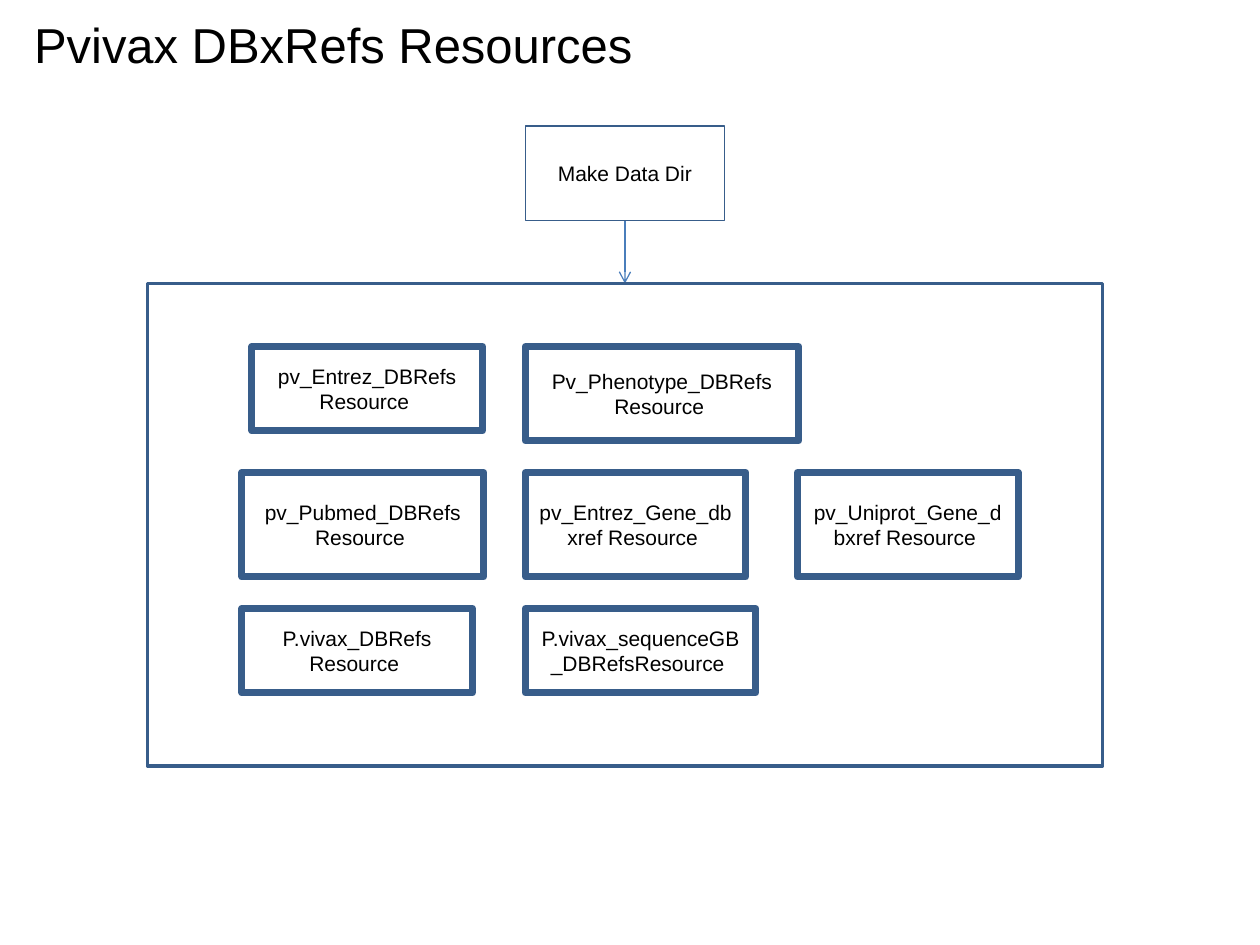
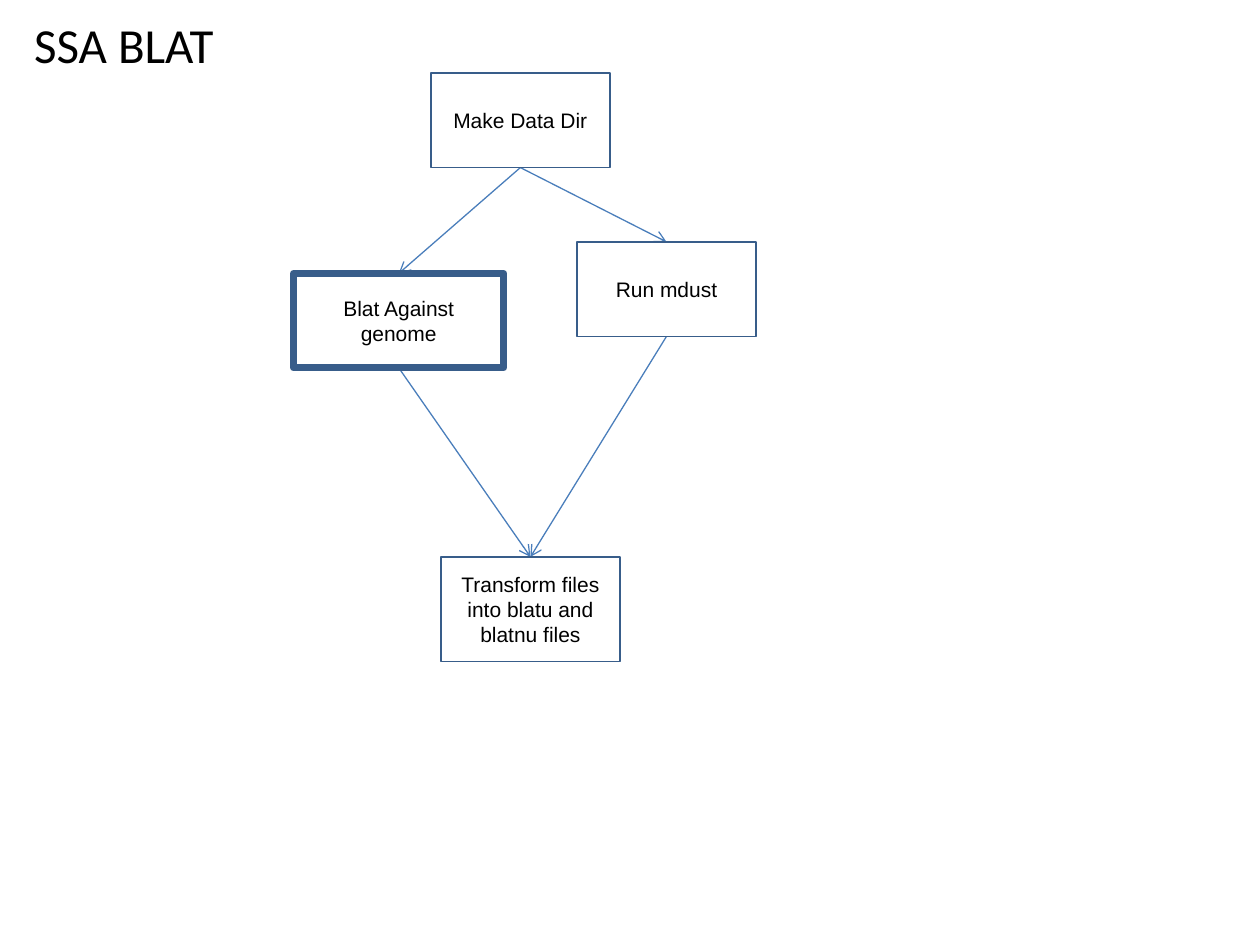
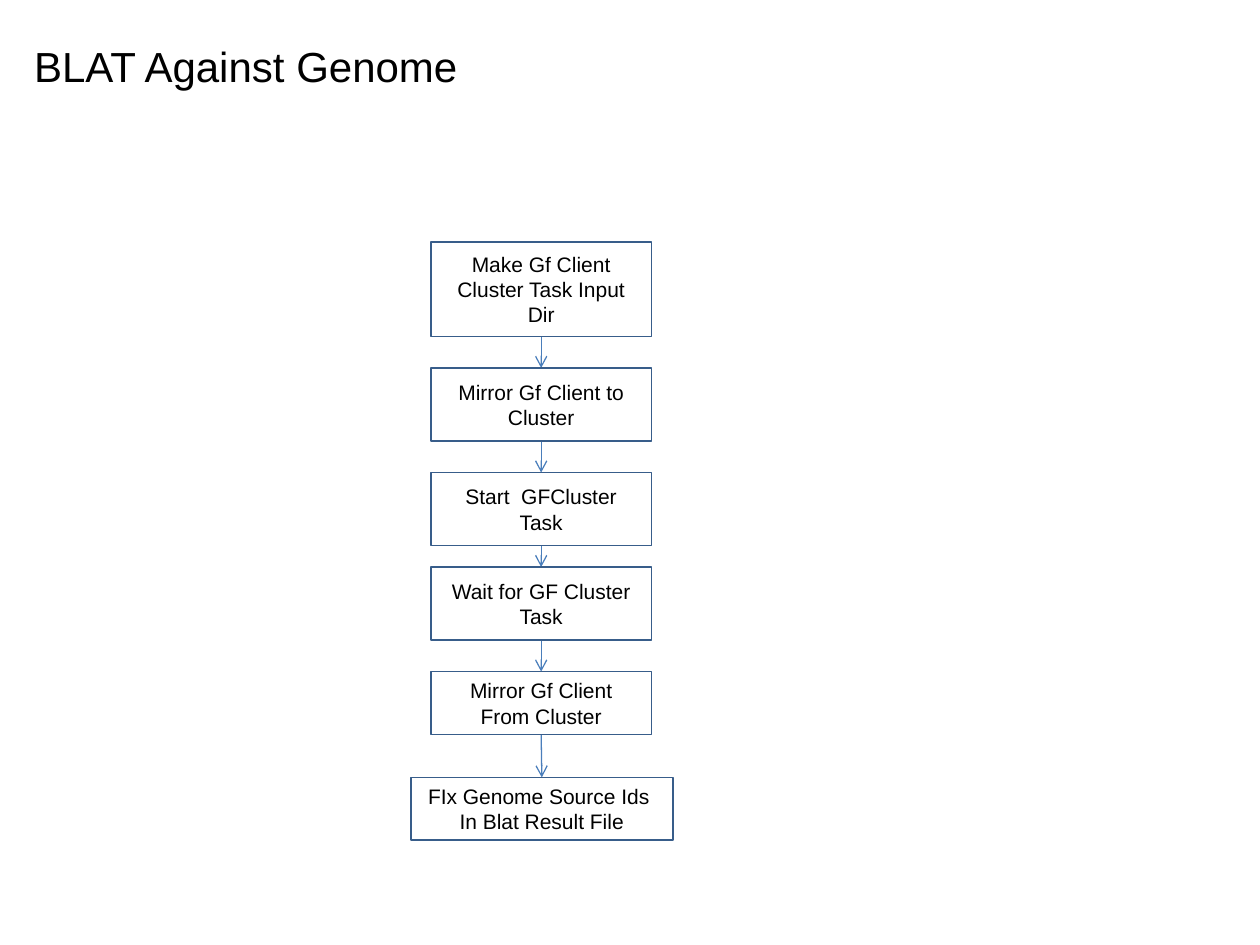
from dataclasses import dataclass

import pptx
import pptx.dml.color
import pptx.enum.shapes
import pptx.enum.text
import pptx.oxml.ns
import pptx.util
from lxml import etree
from pptx.util import Inches

# Shared look
COLORS = {"text": "000000", "outline": "385D8A", "arrow": "4A7EBB"}
FONT = "Arial"
THIN, FRAME, THICK = 1, 2, 4  # outline widths in points
ARROW_WIDTH = 0.75
TITLE_ONLY_LAYOUT = 5
TOP, BOTTOM = 0, 2  # connection sites


@dataclass(frozen=True)
class Heading:
    text: str
    top: float
    width: float
    height: float
    size: int = 28
    font: str = FONT


@dataclass(frozen=True)
class Step:
    text: str
    left: float
    top: float
    width: float
    height: float
    outline: int = THIN


def rgb(role: str) -> pptx.dml.color.RGBColor:
    return pptx.dml.color.RGBColor.from_string(COLORS[role])


def format_text(frame, size: int, font: str, alignment) -> None:
    frame.word_wrap = True
    frame.vertical_anchor = pptx.enum.text.MSO_ANCHOR.MIDDLE
    for paragraph in frame.paragraphs:
        paragraph.alignment = alignment
        for run in paragraph.runs:
            run.font.size = pptx.util.Pt(size)
            run.font.name = font
            run.font.color.rgb = rgb("text")


def add_slide(deck, heading: Heading):
    slide = deck.slides.add_slide(deck.slide_layouts[TITLE_ONLY_LAYOUT])
    title = slide.shapes.title
    title.left, title.top = Inches(0.17), Inches(heading.top)
    title.width, title.height = Inches(heading.width), Inches(heading.height)
    title.text_frame.text = heading.text
    title.text_frame.auto_size = pptx.enum.text.MSO_AUTO_SIZE.NONE
    format_text(title.text_frame, heading.size, heading.font,
                pptx.enum.text.PP_ALIGN.LEFT)
    return slide


def add_step(slide, step: Step):
    box = slide.shapes.add_shape(
        pptx.enum.shapes.MSO_SHAPE.RECTANGLE, Inches(step.left),
        Inches(step.top), Inches(step.width), Inches(step.height))
    box.shadow.inherit = False
    box.fill.background()
    box.line.color.rgb = rgb("outline")
    box.line.width = pptx.util.Pt(step.outline)
    if step.text:
        box.text_frame.text = step.text
        format_text(box.text_frame, 12, FONT,
                    pptx.enum.text.PP_ALIGN.CENTER)
    return box


def add_arrow(slide, source, target) -> None:
    """Lead from the bottom of one box to the top of another, behind both."""
    arrow = slide.shapes.add_connector(
        pptx.enum.shapes.MSO_CONNECTOR.STRAIGHT, 0, 0, 0, 0)
    arrow.begin_connect(source, BOTTOM)
    arrow.end_connect(target, TOP)
    arrow.line.color.rgb = rgb("arrow")
    arrow.line.width = pptx.util.Pt(ARROW_WIDTH)
    qn = pptx.oxml.ns.qn
    etree.SubElement(arrow.line._get_or_add_ln(), qn("a:tailEnd"), type="arrow")
    etree.SubElement(arrow._element.spPr, qn("a:effectLst"))
    slide.shapes.title._element.addnext(arrow._element)


def build_resources(deck) -> None:
    slide = add_slide(deck, Heading("Pvivax DBxRefs Resources", 0.08, 6.42, 0.53))
    left, middle, right = 1.92, 4.17, 6.33
    upper, center, lower = 2.75, 3.75, 4.83
    resources = [
        Step("pv_Pubmed_DBRefs Resource ", left, center, 1.92, 0.83, THICK),
        Step("pv_Entrez_Gene_dbxref Resource ", middle, center, 1.75, 0.83, THICK),
        Step("pv_Uniprot_Gene_dbxref Resource ", right, center, 1.75, 0.83, THICK),
        Step("pv_Entrez_DBRefs\nResource ", 2, upper, 1.83, 0.67, THICK),
        Step("Pv_Phenotype_DBRefs\nResource ", middle, upper, 2.17, 0.75, THICK),
        Step("P.vivax_DBRefs Resource ", left, lower, 1.83, 0.67, THICK),
        Step("P.vivax_sequenceGB_DBRefsResource ", middle, lower, 1.83, 0.67, THICK),
    ]
    for resource in resources:
        add_step(slide, resource)
    resource_group = add_step(slide, Step("", 1.17, 2.25, 7.58, 3.83, FRAME))
    make_dir = add_step(slide, Step("Make Data Dir", middle, 1, 1.58, 0.75))
    add_arrow(slide, make_dir, resource_group)


def build_ssa_blat(deck) -> None:
    slide = add_slide(
        deck, Heading("SSA BLAT", 0.08, 5.58, 0.53, font="Calibri"))
    mdust = add_step(slide, Step("Run mdust", 4.58, 1.92, 1.42, 0.75))
    transform = add_step(slide, Step(
        "Transform files into blatu and blatnu files", 3.5, 4.42, 1.42, 0.83))
    make_dir = add_step(slide, Step("Make Data Dir", 3.42, 0.58, 1.42, 0.75))
    blat = add_step(slide, Step(
        "Blat Against genome", 2.33, 2.17, 1.67, 0.75, THICK))
    for task in (blat, mdust):
        add_arrow(slide, make_dir, task)
        add_arrow(slide, task, transform)


def build_blat_genome(deck) -> None:
    slide = add_slide(deck, Heading("BLAT Against Genome", 0.3, 3.75, 0.45, 24))
    left, width = 3.42, 1.75
    steps = [
        Step("Make Gf Client Cluster Task Input Dir", left, 1.92, width, 0.75),
        Step("Mirror Gf Client to Cluster", left, 2.92, width, 0.58),
        Step("Start  GFCluster Task", left, 3.75, width, 0.58),
        Step("Wait for GF Cluster Task", left, 4.5, width, 0.58),
        Step("Mirror Gf Client From Cluster", left, 5.33, width, 0.5),
        Step("FIx Genome Source Ids \nIn Blat Result File", 3.26, 6.17, 2.08, 0.5),
    ]
    boxes = [add_step(slide, step) for step in steps]
    for source, target in zip(boxes, boxes[1:]):
        add_arrow(slide, source, target)


def main() -> None:
    deck = pptx.Presentation()
    deck.slide_width, deck.slide_height = Inches(10), Inches(7.5)
    build_resources(deck)
    build_ssa_blat(deck)
    build_blat_genome(deck)
    deck.save("out.pptx")


if __name__ == "__main__":
    main()
